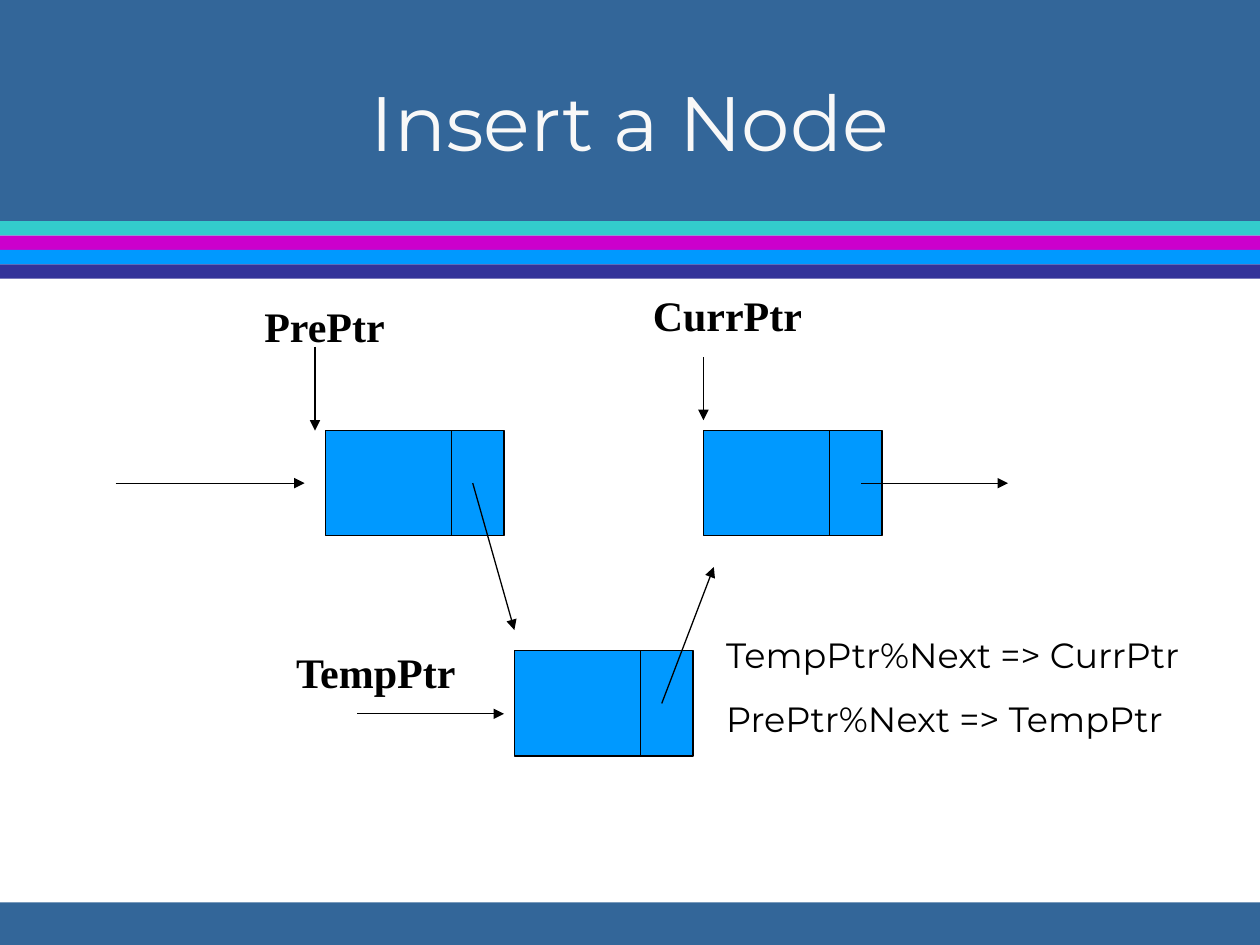
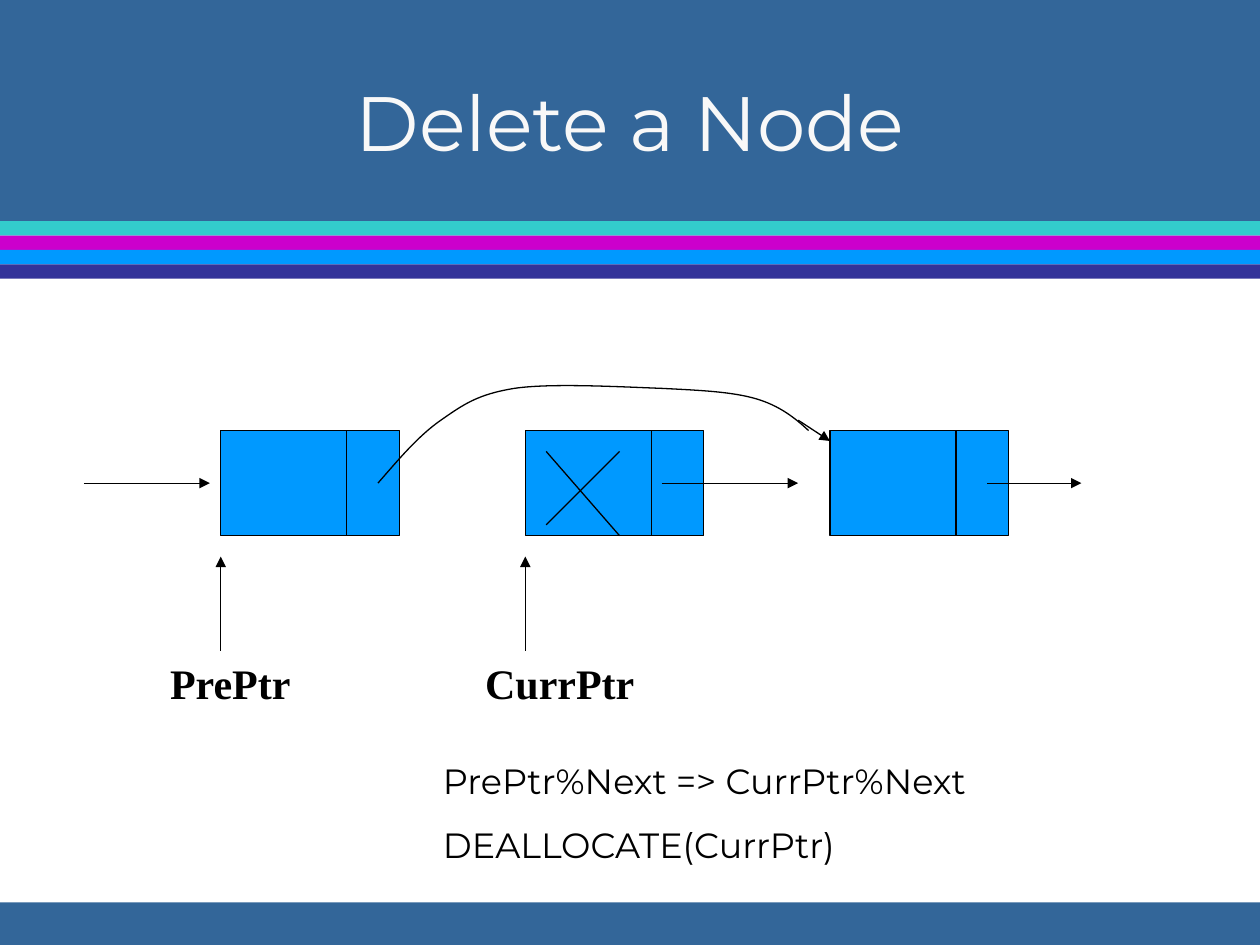
import dataclasses

import lxml.etree
import pptx
import pptx.dml.color
import pptx.enum.shapes
import pptx.enum.text
import pptx.oxml.ns
import pptx.slide
import pptx.util

Cm = pptx.util.Cm
Pt = pptx.util.Pt
qn = pptx.oxml.ns.qn
RGBColor = pptx.dml.color.RGBColor
RECTANGLE = pptx.enum.shapes.MSO_SHAPE.RECTANGLE

GREY = RGBColor(0x96, 0x96, 0x96)
WHITE = RGBColor(0xFF, 0xFF, 0xFF)
STEEL = RGBColor(0x33, 0x66, 0x99)
TEAL = RGBColor(0x33, 0xCC, 0xCC)
MAGENTA = RGBColor(0xCC, 0x00, 0xCC)
AZURE = RGBColor(0x00, 0x99, 0xFF)
INDIGO = RGBColor(0x33, 0x33, 0x99)
BLACK = RGBColor(0x00, 0x00, 0x00)
TITLE_WHITE = RGBColor(0xF8, 0xF8, 0xF8)

SANS = "Montserrat"
SERIF = "Times New Roman"

# All coordinates below are in centimetres.
SLIDE_WIDTH, SLIDE_HEIGHT = 25.4, 19.05
HEADER_HEIGHT, STRIPE_HEIGHT = 4.46, 0.29
FOOTER_TOP = 18.19
NODE_WIDTH, NODE_HEIGHT, DATA_WIDTH = 3.6, 2.12, 2.54
ROW_TOP, ROW_MIDDLE = 8.68, 9.74
LINE_WIDTH = Pt(0.75)

Point = tuple[float, float]


@dataclasses.dataclass(frozen=True)
class Band:
    top: float
    height: float
    color: RGBColor


@dataclasses.dataclass(frozen=True)
class Line:
    start: Point
    end: Point
    arrow: bool = True


@dataclasses.dataclass(frozen=True)
class TextStyle:
    font: str
    size: float
    color: RGBColor = BLACK
    bold: bool = False
    centered: bool = False
    gap: float = 0


@dataclasses.dataclass(frozen=True)
class Caption:
    left: float
    top: float
    width: float
    height: float
    lines: tuple[str, ...]
    style: TextStyle


@dataclasses.dataclass(frozen=True)
class Diagram:
    title: str
    nodes: list[Point]
    lines: list[Line]
    captions: list[Caption]
    bypass: tuple[Point, ...] = ()


TITLE = TextStyle(SANS, 44, TITLE_WHITE, centered=True)
POINTER = TextStyle(SERIF, 24, bold=True)
CODE = TextStyle(SANS, 20, gap=12.5)

BANDS = [
    Band(3.81, SLIDE_HEIGHT - 3.81, WHITE),
    Band(FOOTER_TOP, SLIDE_HEIGHT - FOOTER_TOP, STEEL),
    Band(0, HEADER_HEIGHT, STEEL),
    *(Band(HEADER_HEIGHT + i * STRIPE_HEIGHT, STRIPE_HEIGHT, color)
      for i, color in enumerate((TEAL, MAGENTA, AZURE, INDIGO))),
]


def pointer_name(name: str, left: float, top: float, width: float) -> Caption:
    return Caption(left, top, width, 1.27, (name,), POINTER)


def code(left: float, top: float, width: float, *lines: str) -> Caption:
    return Caption(left, top, width, 2.39, lines, CODE)


INSERTION = Diagram(
    title="Insert a Node",
    nodes=[(14.18, ROW_TOP), (6.56, ROW_TOP), (10.37, 13.12)],
    lines=[
        Line((17.36, ROW_MIDDLE), (20.32, ROW_MIDDLE)),
        Line((2.33, ROW_MIDDLE), (6.14, ROW_MIDDLE)),
        Line((14.18, 7.2), (14.18, 8.47)),
        Line((6.35, 6.99), (6.35, ROW_TOP)),
        Line((7.2, 14.39), (10.16, 14.39)),
        Line((9.53, ROW_MIDDLE), (10.37, 12.7)),
        Line((13.34, 14.18), (14.39, 11.43)),
    ],
    captions=[
        pointer_name("CurrPtr", 12.91, 5.72, 3.6),
        pointer_name("PrePtr", 5.08, 5.93, 3.6),
        pointer_name("TempPtr", 5.72, 12.91, 4.45),
        code(14.39, 12.65, 12.7, "TempPtr%Next => CurrPtr", "PrePtr%Next => TempPtr"),
    ],
)

PREVIOUS, CURRENT, FOLLOWING = (4.45 + i * 6.14 for i in range(3))
DELETION = Diagram(
    title="Delete a Node",
    nodes=[(left, ROW_TOP) for left in (PREVIOUS, CURRENT, FOLLOWING)],
    lines=[
        Line((13.34, ROW_MIDDLE), (16.09, ROW_MIDDLE)),
        Line((19.9, ROW_MIDDLE), (21.8, ROW_MIDDLE)),
        Line((1.69, ROW_MIDDLE), (4.23, ROW_MIDDLE)),
        Line((12.49, 9.1), (11.01, 10.58), arrow=False),
        Line((11.01, 9.1), (12.49, 10.8), arrow=False),
        Line((16.09, 8.47), (FOLLOWING, 8.89)),
        *(Line((left, 13.12), (left, 11.22)) for left in (PREVIOUS, CURRENT)),
    ],
    captions=[
        pointer_name("CurrPtr", 9.53, 13.12, 4.45),
        pointer_name("PrePtr", 3.18, 13.12, 4.45),
        code(8.68, 15.19, 12.27, "PrePtr%Next => CurrPtr%Next", "DEALLOCATE(CurrPtr)"),
    ],
    bypass=(
        (7.62, ROW_MIDDLE),
        (8.03, 9.27), (8.43, 8.79), (8.89, 8.47),
        (9.35, 8.15), (9.63, 7.95), (10.37, 7.83),
        (11.1, 7.72), (12.52, 7.8), (13.34, 7.83),
        (14.15, 7.87), (14.76, 7.9), (15.24, 8.04),
        (15.72, 8.18), (16.03, 8.43), (16.3, 8.68),
    ),
)


def draw_rectangle(slide: pptx.slide.Slide, left: float, top: float, width: float,
                   height: float, color: RGBColor, outlined: bool = False) -> None:
    rectangle = slide.shapes.add_shape(RECTANGLE, Cm(left), Cm(top), Cm(width), Cm(height))
    rectangle.shadow.inherit = False
    rectangle.fill.solid()
    rectangle.fill.fore_color.rgb = color
    if outlined:
        rectangle.line.color.rgb = BLACK
        rectangle.line.width = LINE_WIDTH
    else:
        rectangle.line.fill.background()


def draw_line(slide: pptx.slide.Slide, line: Line) -> None:
    connector = slide.shapes.add_connector(
        pptx.enum.shapes.MSO_CONNECTOR.STRAIGHT,
        *(Cm(value) for value in line.start + line.end))
    connector.line.color.rgb = BLACK
    connector.line.width = LINE_WIDTH
    properties = connector.element.find(qn("p:spPr"))
    if line.arrow:
        lxml.etree.SubElement(properties.find(qn("a:ln")), qn("a:tailEnd"), type="triangle")
    lxml.etree.SubElement(properties, qn("a:effectLst"))


def draw_node(slide: pptx.slide.Slide, left: float, top: float) -> None:
    """Draw a list node: a data cell and a narrower link cell."""
    draw_rectangle(slide, left, top, NODE_WIDTH, NODE_HEIGHT, AZURE, outlined=True)
    divider = left + DATA_WIDTH
    draw_line(slide, Line((divider, top), (divider, top + NODE_HEIGHT), arrow=False))


def draw_curve(slide: pptx.slide.Slide, points: tuple[Point, ...]) -> None:
    """Draw a Bézier chain: a start point, then two controls and an end per segment."""
    start, *rest = [(Cm(x), Cm(y)) for x, y in points]
    builder = slide.shapes.build_freeform(*start)
    builder.add_line_segments(rest, close=False)
    curve = builder.convert_to_shape()
    curve.shadow.inherit = False
    curve.fill.background()
    curve.line.color.rgb = BLACK
    curve.line.width = LINE_WIDTH
    outline = next(curve.element.iter(qn("a:path")))
    segments = outline.findall(qn("a:lnTo"))
    for i in range(0, len(segments), 3):
        bezier = lxml.etree.SubElement(outline, qn("a:cubicBezTo"))
        for segment in segments[i:i + 3]:
            bezier.append(segment[0])
            outline.remove(segment)


def draw_caption(slide: pptx.slide.Slide, caption: Caption) -> None:
    style = caption.style
    frame = slide.shapes.add_textbox(Cm(caption.left), Cm(caption.top),
                                     Cm(caption.width), Cm(caption.height)).text_frame
    frame.word_wrap = True
    if style.centered:
        frame.vertical_anchor = pptx.enum.text.MSO_ANCHOR.MIDDLE
    for i, line in enumerate(caption.lines):
        paragraph = frame.add_paragraph() if i else frame.paragraphs[0]
        if i:
            paragraph.space_before = Pt(style.gap)
        if style.centered:
            paragraph.alignment = pptx.enum.text.PP_ALIGN.CENTER
        run = paragraph.add_run()
        run.text = line
        run.font.name = style.font
        run.font.size = Pt(style.size)
        run.font.bold = style.bold
        run.font.color.rgb = style.color


def add_diagram_slide(deck: pptx.presentation.Presentation, diagram: Diagram) -> None:
    slide = deck.slides.add_slide(deck.slide_layouts[6])
    slide.background.fill.solid()
    slide.background.fill.fore_color.rgb = GREY
    for band in BANDS:
        draw_rectangle(slide, 0, band.top, SLIDE_WIDTH, band.height, band.color)
    draw_caption(slide, Caption(1.91, 0.85, 21.59, 3.18, (diagram.title,), TITLE))
    for left, top in diagram.nodes:
        draw_node(slide, left, top)
    for line in diagram.lines:
        draw_line(slide, line)
    if diagram.bypass:
        draw_curve(slide, diagram.bypass)
    for caption in diagram.captions:
        draw_caption(slide, caption)


def main() -> None:
    deck = pptx.Presentation()
    deck.slide_width = Cm(SLIDE_WIDTH)
    deck.slide_height = Cm(SLIDE_HEIGHT)
    for diagram in (INSERTION, DELETION):
        add_diagram_slide(deck, diagram)
    deck.save("out.pptx")


if __name__ == "__main__":
    main()
